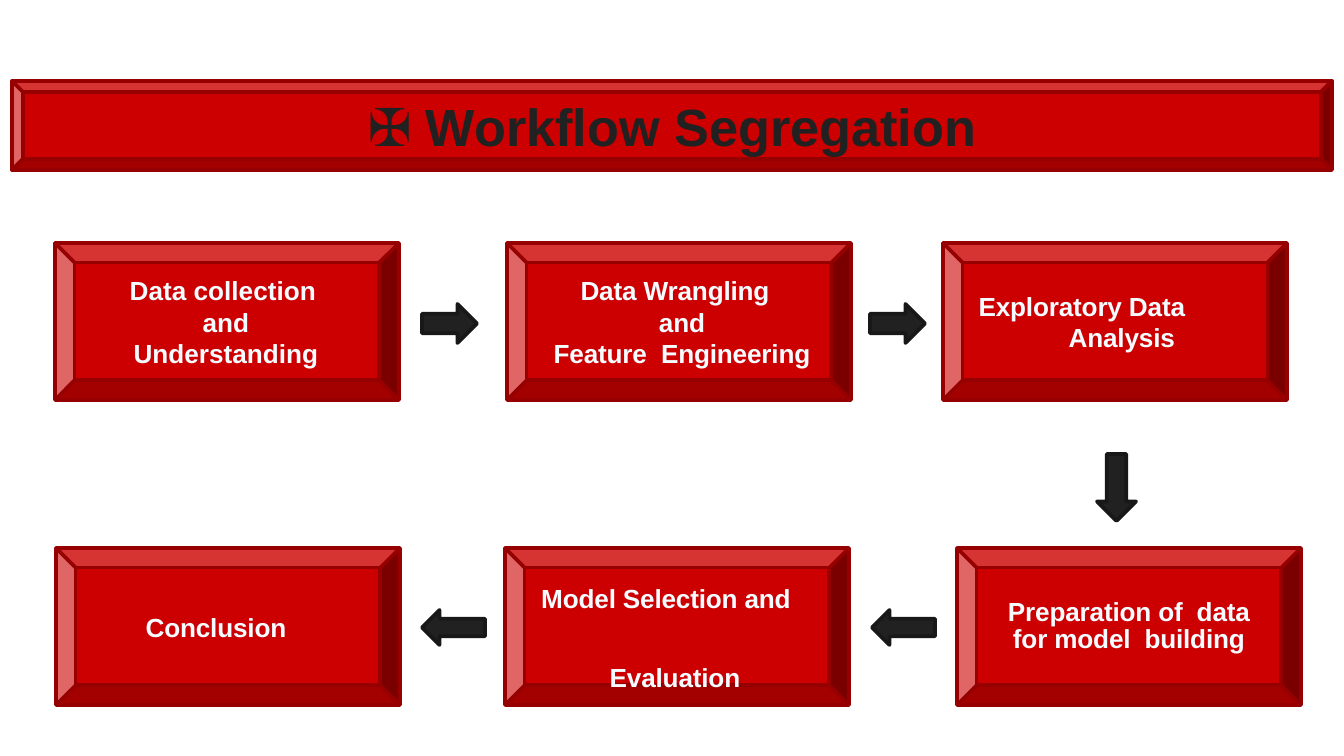
from lxml import etree
from pptx import Presentation
from pptx.dml.color import RGBColor
from pptx.enum.shapes import MSO_SHAPE
from pptx.enum.text import MSO_ANCHOR, PP_ALIGN
from pptx.oxml.ns import qn
from pptx.util import Pt

EMU_PER_PX = 914400 / 134.4
RED = RGBColor(0xCC, 0x00, 0x00)
DARK_RED = RGBColor(0x97, 0x00, 0x00)
CHARCOAL = RGBColor(0x21, 0x21, 0x21)
BLACK = RGBColor(0x18, 0x18, 0x18)
ICE = RGBColor(0xF5, 0xFC, 0xFF)

BEVEL = MSO_SHAPE.BEVEL
RIGHT, DOWN, LEFT = MSO_SHAPE.RIGHT_ARROW, MSO_SHAPE.DOWN_ARROW, MSO_SHAPE.LEFT_ARROW
CENTER, ALIGN_LEFT = PP_ALIGN.CENTER, PP_ALIGN.LEFT
TOP, MIDDLE = MSO_ANCHOR.TOP, MSO_ANCHOR.MIDDLE

INSET = 13
STEP_WIDTH, STEP_HEIGHT = 344, 157
ROW_1, ROW_2 = 243, 548

# Left, top, lines as (text, indent), format
STEPS = [
    (55, ROW_1, [("Data collection", 0), ("and", 6), ("Understanding", 6)],
     {"shift": -4, "tracking": 0}),
    (507, ROW_1, [("Data Wrangling", 0), ("and", 14), ("Feature  Engineering", 14)],
     {"shift": -4}),
    (943, ROW_1, [("Exploratory Data", 0), ("Analysis", 90)],
     {"shift": 3, "align": ALIGN_LEFT}),
    (957, ROW_2, [("Preparation of  data", 0), ("for model  building", 0)],
     {"line_spacing": 0.86}),
    (505, ROW_2, [("Model Selection and", 0), ("Evaluation", 18)],
     {"shift": -11, "top_inset": 15, "anchor": TOP, "gap": 47}),
    (56, ROW_2, [("Conclusion", 0)], {"shift": -12}),
]

ARROWS = [
    (RIGHT, 422, 304, 55, 39),
    (RIGHT, 870, 304, 55, 39),
    (DOWN, 1097, 454, 39, 67),
    (LEFT, 872, 610, 63, 35),
    (LEFT, 422, 610, 63, 35),
]


def px(length):
    return round(length * EMU_PER_PX)


class WorkflowSlide:
    font_name = "Arial"
    line_width = Pt(2)

    def __init__(self, deck):
        self.slide = deck.slides.add_slide(deck.slide_layouts[6])

    def shape(self, kind, left, top, width, height, fill, line):
        shape = self.slide.shapes.add_shape(
            kind, px(left), px(top), px(width), px(height))
        shape.shadow.inherit = False
        shape.fill.solid()
        shape.fill.fore_color.rgb = fill
        shape.line.color.rgb = line
        shape.line.width = self.line_width
        etree.SubElement(shape.line._get_or_add_ln(), qn("a:round"))
        return shape

    def add_text(self, box, lines, size=14, color=ICE, align=CENTER, anchor=MIDDLE,
                 shift=0, top_inset=7, gap=0, line_spacing=None, tracking=-0.1):
        """Add (text, indent) lines; shift moves the whole text sideways."""
        frame = box.text_frame
        frame.word_wrap = True
        frame.vertical_anchor = anchor
        frame.margin_left = px(INSET + shift)
        frame.margin_right = px(INSET - shift)
        frame.margin_top = px(top_inset)
        for index, (text, indent) in enumerate(lines):
            para = frame.add_paragraph() if index else frame.paragraphs[0]
            para.alignment = align
            para.line_spacing = line_spacing
            if index and gap:
                para.space_before = px(gap)
            if indent:
                para._p.get_or_add_pPr().set("marL", str(px(indent)))
            span = para.add_run()
            span.text = text
            span.font.name = self.font_name
            span.font.size = Pt(size)
            span.font.bold = True
            span.font.color.rgb = color
            span._r.get_or_add_rPr().set("spc", str(round(tracking * 100)))

    def panel(self, left, top, width, height, lines, **text_format):
        box = self.shape(BEVEL, left, top, width, height, RED, DARK_RED)
        self.add_text(box, lines, **text_format)

    def arrow(self, kind, left, top, width, height):
        self.shape(kind, left, top, width, height, CHARCOAL, BLACK)


def main():
    deck = Presentation()
    deck.slide_width, deck.slide_height = px(1344), px(756)
    page = WorkflowSlide(deck)
    for left, top, lines, text_format in STEPS:
        page.panel(left, top, STEP_WIDTH, STEP_HEIGHT, lines, **text_format)
    for arrow in ARROWS:
        page.arrow(*arrow)
    page.panel(12, 81, 1320, 89, [("✠ Workflow Segregation", 0)],
               size=28, color=CHARCOAL, tracking=0)
    deck.save("out.pptx")


if __name__ == "__main__":
    main()
